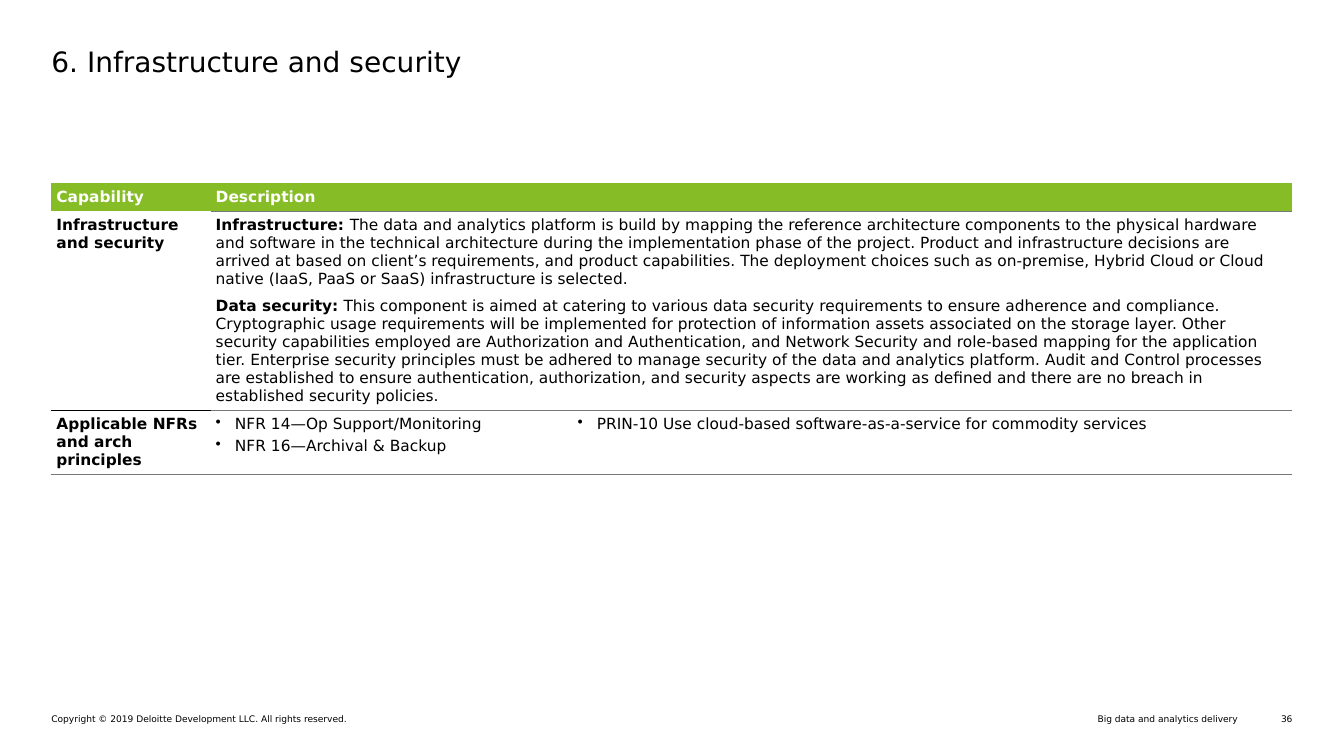
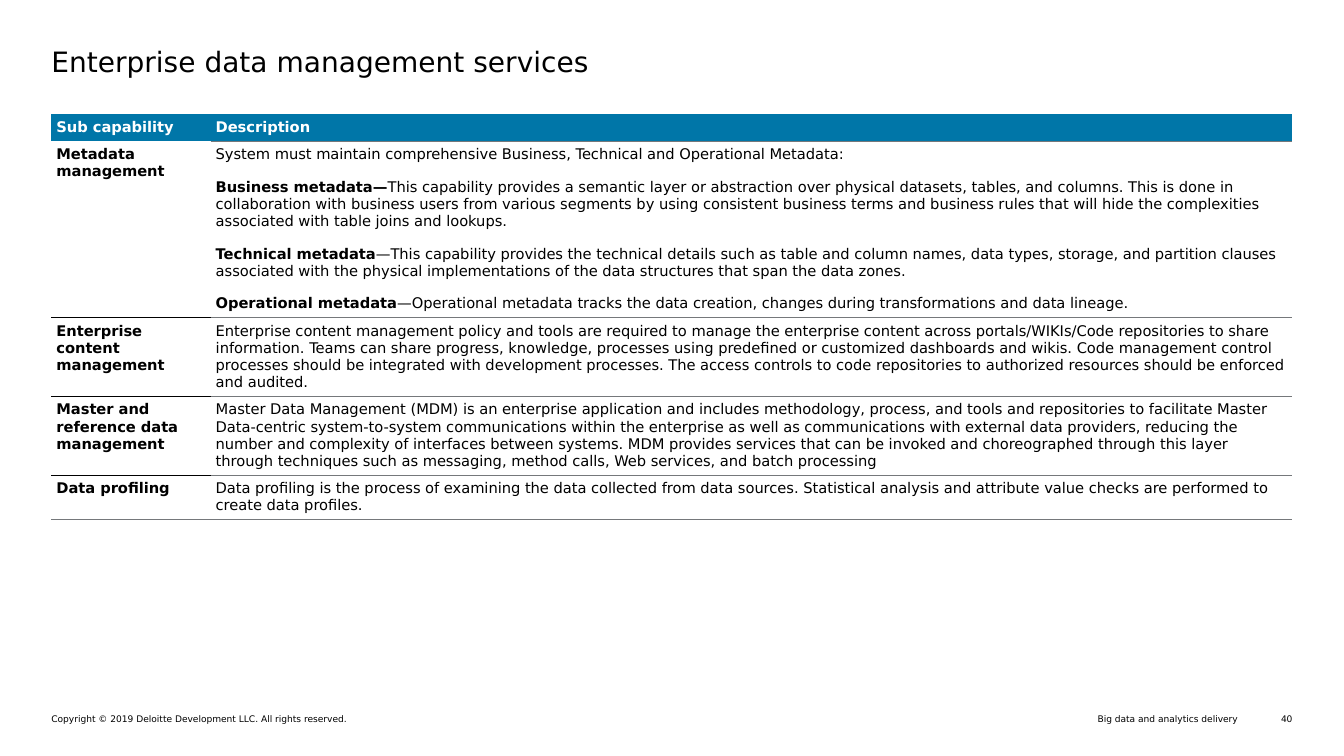
from dataclasses import dataclass

from lxml import etree
from pptx import Presentation
from pptx.dml.color import RGBColor
from pptx.enum.text import MSO_ANCHOR, MSO_AUTO_SIZE, PP_ALIGN
from pptx.oxml.ns import qn
from pptx.slide import Slide
from pptx.table import _Cell
from pptx.text.text import TextFrame
from pptx.util import Inches, Pt

LEFT, RIGHT = PP_ALIGN.LEFT, PP_ALIGN.RIGHT
TOP = MSO_ANCHOR.TOP
NO_AUTOFIT = MSO_AUTO_SIZE.NONE

BLACK = RGBColor(0x00, 0x00, 0x00)
WHITE = RGBColor(0xFF, 0xFF, 0xFF)
GRAY = RGBColor(0x75, 0x78, 0x7B)
GREEN = RGBColor(0x86, 0xBC, 0x25)
BLUE = RGBColor(0x00, 0x76, 0xA8)

FONT = "DejaVu Sans"
SLIDE_WIDTH, SLIDE_HEIGHT = 13.33, 7.5
MARGIN = 0.51
CONTENT_WIDTH = 12.3
LABEL_WIDTH = 1.58
CELL_INSET = 0.05
BULLET_INDENT = 0.19
TITLE_TOP, TITLE_HEIGHT, TITLE_SIZE = 0.44, 0.76, 20
FOOTER_TOP, FOOTER_HEIGHT, FOOTER_SIZE = 7.08, 0.11, 6.5


@dataclass(frozen=True)
class Text:
    """A paragraph that may open with a bold lead or a bullet."""
    body: str = ""
    lead: str = ""
    bullet: bool = False


@dataclass(frozen=True)
class Row:
    """A table row; its last cell spans any columns left over."""
    height: float
    label: str
    cells: tuple[tuple[Text, ...], ...]


@dataclass(frozen=True)
class TableSlide:
    title: str
    number: int
    accent: RGBColor
    table_top: float
    column_widths: tuple[float, ...]
    font_size: float
    space_after: float
    bullet_space_after: float
    rows: tuple[Row, ...]


@dataclass(frozen=True)
class Footer:
    left: float
    width: float
    text: str
    alignment: PP_ALIGN


def header(label: str) -> Row:
    return Row(0.27, label, ((Text(lead="Description"),),))


SLIDES = (
    TableSlide(
        "6. Infrastructure and security", 36, GREEN, 1.82,
        (LABEL_WIDTH, 3.59, CONTENT_WIDTH - LABEL_WIDTH - 3.59), 11, 6, 3,
        (
            header("Capability"),
            Row(1.97, "Infrastructure and security", ((
                Text("The data and analytics platform is build by mapping the reference "
                     "architecture components to the physical hardware and software in the "
                     "technical architecture during the implementation phase of the project. "
                     "Product and infrastructure decisions are arrived at based on client’s "
                     "requirements, and product capabilities. The deployment choices such as "
                     "on-premise, Hybrid Cloud or Cloud native (IaaS, PaaS or SaaS) "
                     "infrastructure is selected.", "Infrastructure: "),
                Text(" This component is aimed at catering to various data security "
                     "requirements to ensure adherence and compliance. Cryptographic usage "
                     "requirements will be implemented for protection of information assets "
                     "associated on the storage layer. Other security capabilities employed "
                     "are Authorization and Authentication, and Network Security and "
                     "role-based mapping for the application tier. Enterprise security "
                     "principles must be adhered to manage security of the data and analytics "
                     "platform. Audit and Control processes are established to ensure "
                     "authentication, authorization, and security aspects are working as "
                     "defined and there are no breach in established security policies.",
                     "Data security:"),
            ),)),
            Row(0.63, "Applicable NFRs and arch principles", (
                (Text("NFR 14—Op Support/Monitoring", bullet=True),
                 Text("NFR 16—Archival & Backup", bullet=True)),
                (Text("PRIN-10 Use cloud-based software-as-a-service for commodity services",
                      bullet=True),),
            )),
        ),
    ),
    TableSlide(
        "Enterprise data management services", 40, BLUE, 1.13,
        (LABEL_WIDTH, CONTENT_WIDTH - LABEL_WIDTH), 10.5, 11, 11,
        (
            header("Sub capability"),
            Row(1.75, "Metadata management", ((
                Text("System must maintain comprehensive Business, Technical and Operational "
                     "Metadata:"),
                Text("This capability provides a semantic layer or abstraction over physical "
                     "datasets, tables, and columns. This is done in collaboration with "
                     "business users from various segments by using consistent business terms "
                     "and business rules that will hide the complexities associated with table "
                     "joins and lookups.", "Business metadata—"),
                Text("—This capability provides the technical details such as table and column "
                     "names, data types, storage, and partition clauses associated with the "
                     "physical implementations of the data structures that span the data "
                     "zones.", "Technical metadata"),
                Text("—Operational metadata tracks the data creation, changes during "
                     "transformations and data lineage.", "Operational metadata"),
            ),)),
            Row(0.78, "Enterprise content management", ((
                Text("Enterprise content management policy and tools are required to manage "
                     "the enterprise content across portals/WIKIs/Code repositories to share "
                     "information. Teams can share progress, knowledge, processes using "
                     "predefined or customized dashboards and wikis. Code management control "
                     "processes should be integrated with development processes. The access "
                     "controls to code repositories to authorized resources should be enforced "
                     "and audited."),
            ),)),
            Row(0.78, "Master and reference data management", ((
                Text("Master Data Management (MDM) is an enterprise application and includes "
                     "methodology, process, and tools and repositories to facilitate Master "
                     "Data-centric system-to-system communications within the enterprise as "
                     "well as communications with external data providers, reducing the number "
                     "and complexity of interfaces between systems. MDM provides services that "
                     "can be invoked and choreographed through this layer through techniques "
                     "such as messaging, method calls, Web services, and batch processing"),
            ),)),
            Row(0.44, "Data profiling", ((
                Text("Data profiling is the process of examining the data collected from data "
                     "sources. Statistical analysis and attribute value checks are performed "
                     "to create data profiles."),
            ),)),
        ),
    ),
)


def set_frame(frame: TextFrame, text: str, size: float, alignment: PP_ALIGN) -> None:
    """Fill a frame without insets with one black paragraph."""
    frame.text = text
    frame.word_wrap = True
    frame.auto_size = NO_AUTOFIT
    frame.vertical_anchor = TOP
    frame.margin_left = frame.margin_right = frame.margin_top = frame.margin_bottom = 0
    paragraph = frame.paragraphs[0]
    paragraph.alignment = alignment
    paragraph.space_before = Pt(0)
    font = paragraph.runs[0].font
    font.name, font.size = FONT, Pt(size)
    font.color.rgb = BLACK


def add_footers(slide: Slide, number: int) -> None:
    footers = (
        Footer(6.93, 5.35, "Big data and analytics delivery", RIGHT),
        Footer(MARGIN, 5.86,
               "Copyright © 2019 Deloitte Development LLC. All rights reserved.", LEFT),
        Footer(12.48, 0.34, str(number), RIGHT),
    )
    for footer in footers:
        box = slide.shapes.add_textbox(Inches(footer.left), Inches(FOOTER_TOP),
                                       Inches(footer.width), Inches(FOOTER_HEIGHT))
        set_frame(box.text_frame, footer.text, FOOTER_SIZE, footer.alignment)


def set_borders(cell: _Cell, top: tuple[RGBColor, float] | None,
                bottom: tuple[RGBColor, float]) -> None:
    """Draw the horizontal borders and clear the vertical ones."""
    properties = cell._tc.get_or_add_tcPr()
    sides = (("a:lnL", None), ("a:lnR", None), ("a:lnT", top), ("a:lnB", bottom))
    for position, (tag, border) in enumerate(sides):
        line = etree.Element(qn(tag))
        if border is None:
            etree.SubElement(line, qn("a:noFill"))
        else:
            color, width = border
            line.set("w", str(Pt(width)))
            fill = etree.SubElement(line, qn("a:solidFill"))
            etree.SubElement(fill, qn("a:srgbClr")).set("val", str(color))
        properties.insert(position, line)


def bottom_border(row: int, column: int, last_row: int) -> tuple[RGBColor, float]:
    if column > 0 or row == last_row:
        return GRAY, 0.5
    return (WHITE, 0.5) if row == 0 else (BLACK, 0.25)


def write_cell(cell: _Cell, texts: tuple[Text, ...], content: TableSlide,
               color: RGBColor) -> None:
    frame = cell.text_frame
    cell.vertical_anchor = TOP
    cell.margin_left = cell.margin_right = Inches(CELL_INSET)
    cell.margin_top = cell.margin_bottom = Inches(CELL_INSET)
    for index, text in enumerate(texts):
        paragraph = frame.paragraphs[0] if index == 0 else frame.add_paragraph()
        paragraph.space_after = Pt(content.space_after)
        if text.bullet:
            paragraph.space_after = Pt(content.bullet_space_after)
            properties = paragraph._p.get_or_add_pPr()
            properties.set("marL", str(Inches(BULLET_INDENT)))
            properties.set("indent", str(-Inches(BULLET_INDENT)))
            etree.SubElement(properties, qn("a:buChar")).set("char", "•")
        for words, bold in ((text.lead, True), (text.body, False)):
            if words:
                run = paragraph.add_run()
                run.text = words
                run.font.name, run.font.size = FONT, Pt(content.font_size)
                run.font.bold = bold
                run.font.color.rgb = color


def add_content_table(slide: Slide, content: TableSlide) -> None:
    rows, widths = content.rows, content.column_widths
    last_row, last_column = len(rows) - 1, len(widths) - 1
    table = slide.shapes.add_table(
        len(rows), len(widths), Inches(MARGIN), Inches(content.table_top),
        Inches(CONTENT_WIDTH), Inches(sum(row.height for row in rows))).table
    table.horz_banding = False
    for column, width in zip(table.columns, widths):
        column.width = Inches(width)
    for row_index, row in enumerate(rows):
        table.rows[row_index].height = Inches(row.height)
        is_header = row_index == 0
        for column_index in range(len(widths)):
            cell = table.cell(row_index, column_index)
            cell.fill.solid()
            cell.fill.fore_color.rgb = content.accent if is_header else WHITE
            top = None if is_header else bottom_border(row_index - 1, column_index, last_row)
            set_borders(cell, top, bottom_border(row_index, column_index, last_row))
        cells = ((Text(lead=row.label),), *row.cells)
        for column_index, texts in enumerate(cells):
            write_cell(table.cell(row_index, column_index), texts, content,
                       WHITE if is_header else BLACK)
        if len(cells) <= last_column:
            table.cell(row_index, len(cells) - 1).merge(table.cell(row_index, last_column))


def main() -> None:
    presentation = Presentation()
    presentation.slide_width = Inches(SLIDE_WIDTH)
    presentation.slide_height = Inches(SLIDE_HEIGHT)
    title_only = presentation.slide_layouts.get_by_name("Title Only")
    for content in SLIDES:
        slide = presentation.slides.add_slide(title_only)
        title = slide.shapes.title
        title.left, title.top = Inches(MARGIN), Inches(TITLE_TOP)
        title.width, title.height = Inches(CONTENT_WIDTH), Inches(TITLE_HEIGHT)
        set_frame(title.text_frame, content.title, TITLE_SIZE, LEFT)
        add_footers(slide, content.number)
        add_content_table(slide, content)
    presentation.save("out.pptx")


if __name__ == "__main__":
    main()
